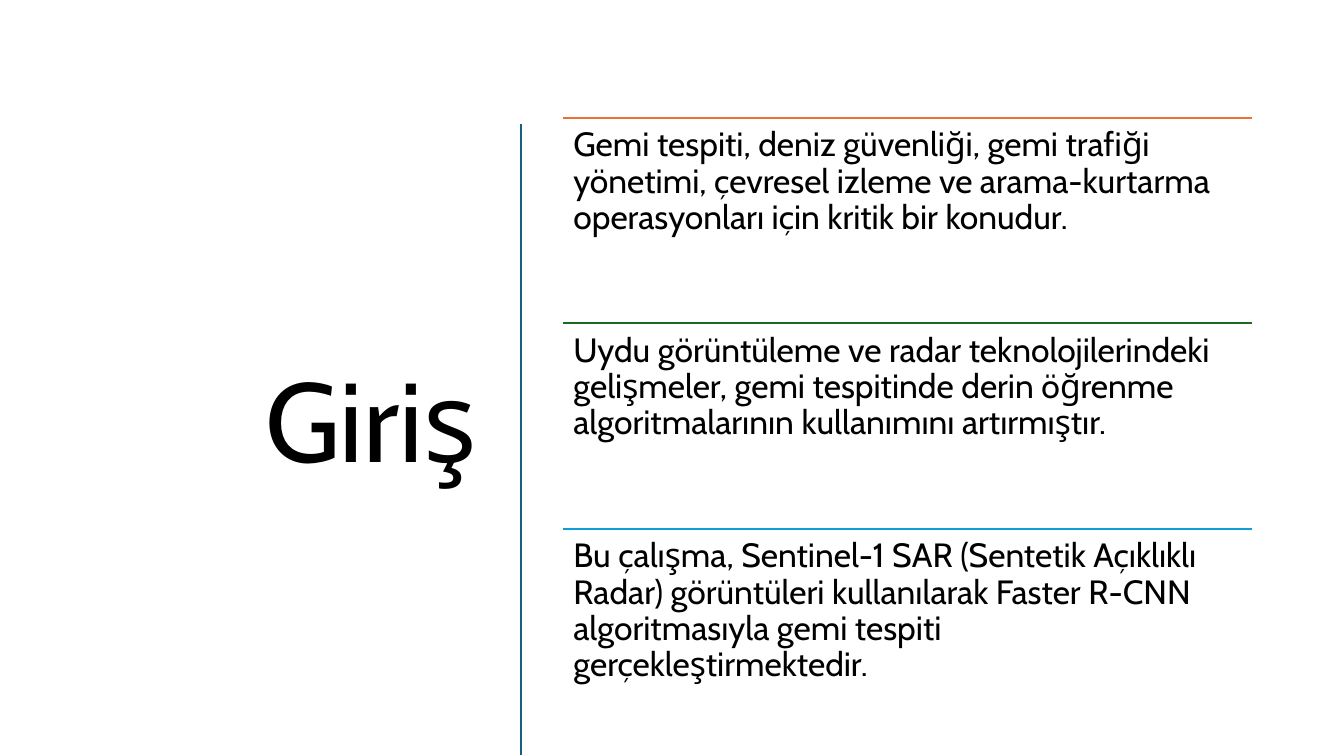
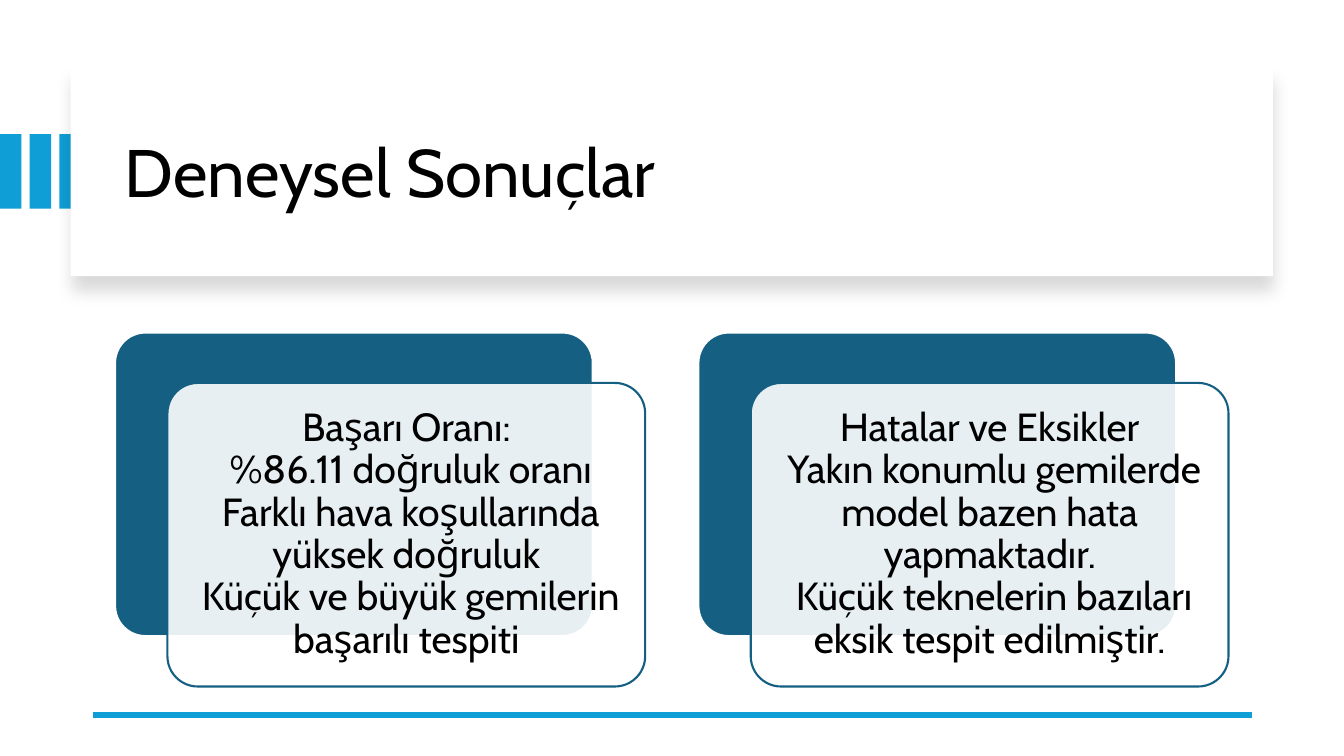
"""Build two slides on ship detection: an introduction and the results."""
from dataclasses import dataclass

from pptx import Presentation
from pptx import util as u
from pptx.dml.color import RGBColor
from pptx.enum import shapes, text
from pptx.oxml import parse_xml
from pptx.oxml.ns import nsdecls, qn

Cm, Pt = u.Cm, u.Pt
KIND = shapes.MSO_SHAPE
ALIGN = text.PP_ALIGN
ANCHOR = text.MSO_ANCHOR


@dataclass(frozen=True)
class Theme:
    """Colours, type sizes and line widths of the deck."""
    font: str = "Cabin"
    ink: str = "000000"
    white: str = "FFFFFF"
    navy: str = "156082"
    blue: str = "0F9ED5"
    green: str = "196B24"
    orange: str = "E97132"
    hero: int = 80
    title: int = 48
    card: int = 28
    body: int = 24
    thin: float = 1.5
    mid: float = 2
    thick: float = 4.5


T = Theme()

POINTS = [
    (T.orange, "Gemi tespiti, deniz güvenliği, gemi trafiği yönetimi, çevresel "
     "izleme ve arama-kurtarma operasyonları için kritik bir konudur."),
    (T.green, "Uydu görüntüleme ve radar teknolojilerindeki gelişmeler, gemi "
     "tespitinde derin öğrenme algoritmalarının kullanımını artırmıştır."),
    (T.blue, "Bu çalışma, Sentinel-1 SAR (Sentetik Açıklıklı Radar) görüntüleri "
     "kullanılarak Faster R-CNN algoritmasıyla gemi tespiti "
     "gerçekleştirmektedir."),
]
CARDS = [
    ["Başarı Oranı:", "%86.11 doğruluk oranı",
     "Farklı hava koşullarında yüksek doğruluk",
     "Küçük ve büyük gemilerin başarılı tespiti"],
    ["Hatalar ve Eksikler",
     "Yakın konumlu gemilerde model bazen hata yapmaktadır.",
     "Küçük teknelerin bazıları eksik tespit edilmiştir."],
]


def tint(hue):
    """Turn a hex string into a colour."""
    return RGBColor.from_string(hue)


def write(shape, words, size, align=ALIGN.LEFT, anchor=ANCHOR.TOP,
          pad=(0.25, 0.13)):
    """Put formatted words into a shape."""
    frame = shape.text_frame
    frame.word_wrap = True
    frame.vertical_anchor = anchor
    frame.margin_left = frame.margin_right = Cm(pad[0])
    frame.margin_top = frame.margin_bottom = Cm(pad[1])
    para = frame.paragraphs[0]
    para.text = words
    para.alignment = align
    para.line_spacing = 0.9
    font = para.font
    font.name, font.size = T.font, Pt(size)
    font.color.rgb = tint(T.ink)


def label(slide, box, words, size, **form):
    """Add a text box."""
    write(slide.shapes.add_textbox(*map(Cm, box)), words, size, **form)


def block(slide, box, fill, line=None, kind=KIND.RECTANGLE):
    """Add a filled shape without shadow."""
    shape = slide.shapes.add_shape(kind, *map(Cm, box))
    shape.shadow.inherit = False
    shape.fill.solid()
    shape.fill.fore_color.rgb = tint(fill)
    if line:
        shape.line.color.rgb = tint(line)
        shape.line.width = Pt(T.thin)
    else:
        shape.line.fill.background()
    return shape


def rule(slide, start, end, hue, width):
    """Draw a straight line."""
    line = slide.shapes.add_connector(
        shapes.MSO_CONNECTOR.STRAIGHT, *map(Cm, (*start, *end)))
    line.line.color.rgb = tint(hue)
    line.line.width = Pt(width)
    line._element.spPr.append(parse_xml(f"<a:effectLst {nsdecls('a')}/>"))


def fade(shape, alpha):
    """Set the opacity of a solid fill in percent."""
    hue = shape._element.spPr.find(qn("a:solidFill"))[0]
    hue.append(parse_xml(f'<a:alpha {nsdecls("a")} val="{alpha * 1000}"/>'))


def shade(shape, blur, drop, alpha):
    """Cast a soft shadow straight down."""
    cast = parse_xml(
        f'<a:outerShdw {nsdecls("a")} blurRad="{Pt(blur)}" dist="{Pt(drop)}" '
        f'dir="5400000" algn="t" rotWithShape="0"><a:srgbClr val="{T.ink}">'
        f'<a:alpha val="{alpha * 1000}"/></a:srgbClr></a:outerShdw>')
    shape._element.spPr.find(qn("a:effectLst")).append(cast)


def points(slide, box, items):
    """Stack equal rows of text, each below a coloured rule."""
    left, top, width, height = box
    step = height / len(items)
    for row, (hue, words) in enumerate(items):
        y = top + row * step
        rule(slide, (left, y), (left + width, y), hue, T.thin)
        label(slide, (left, y, width, step), words, T.body, pad=(0.25, 0.25))


def bars(slide, box, count=3, gap=0.21):
    """Lay out equal upright bars."""
    left, top, width, height = box
    size = (width - gap * (count - 1)) / count
    for col in range(count):
        block(slide, (left + col * (size + gap), top, size, height), T.blue)


def header(slide, box, words):
    """Draw the raised title panel with its side bars."""
    left, top, width, height = box
    bars(slide, (0, top + 1.68, 2.04, 1.88))
    shade(block(slide, box, T.white), blur=11, drop=10, alpha=15)
    label(slide, (left + 1.12, top + 0.56, width - 2.03, height - 0.94),
          words, T.title, anchor=ANCHOR.MIDDLE)


def card(slide, box, lines, shift=(1.32, 1.27)):
    """Draw a dark plate with a text plate shifted over it."""
    left, top, width, height = box
    wide, high = width - shift[0], height - shift[1]
    back = block(slide, (left, top, wide, high), T.navy, T.white,
                 KIND.ROUNDED_RECTANGLE)
    front = block(slide, (left + shift[0], top + shift[1], wide, high),
                  T.white, T.navy, KIND.ROUNDED_RECTANGLE)
    for plate in (back, front):
        plate.adjustments[0] = 0.1
    fade(front, 90)
    write(front, "\v ".join(lines), T.card, align=ALIGN.CENTER,
          anchor=ANCHOR.MIDDLE, pad=(0.3, 0.3))


def cards(slide, box, items, gap=1.34):
    """Set cards side by side with equal gaps."""
    left, top, width, height = box
    size = (width - gap * (len(items) - 1)) / len(items)
    for col, lines in enumerate(items):
        card(slide, (left + col * (size + gap), top, size, height), lines)


def intro(slide):
    """Fill the introduction slide."""
    label(slide, (1.32, 2.97, 10.95, 15.52), "Giriş", T.hero,
          align=ALIGN.RIGHT, anchor=ANCHOR.MIDDLE)
    rule(slide, (13.13, 3.12), (13.13, 19.03), T.navy, T.mid)
    points(slide, (14.2, 2.97, 17.35, 15.54), POINTS)


def results(slide):
    """Fill the results slide."""
    header(slide, (1.78, 1.7, 30.3, 5.26), "Deneysel Sonuçlar")
    rule(slide, (2.34, 18.01), (31.55, 18.01), T.blue, T.thick)
    cards(slide, (2.9, 8.38, 28.06, 8.92), CARDS)


def main():
    """Build and save the deck."""
    deck = Presentation()
    deck.slide_width, deck.slide_height = Cm(33.87), Cm(19.05)
    for fill in (intro, results):
        fill(deck.slides.add_slide(deck.slide_layouts[6]))
    deck.save("out.pptx")


if __name__ == "__main__":
    main()
